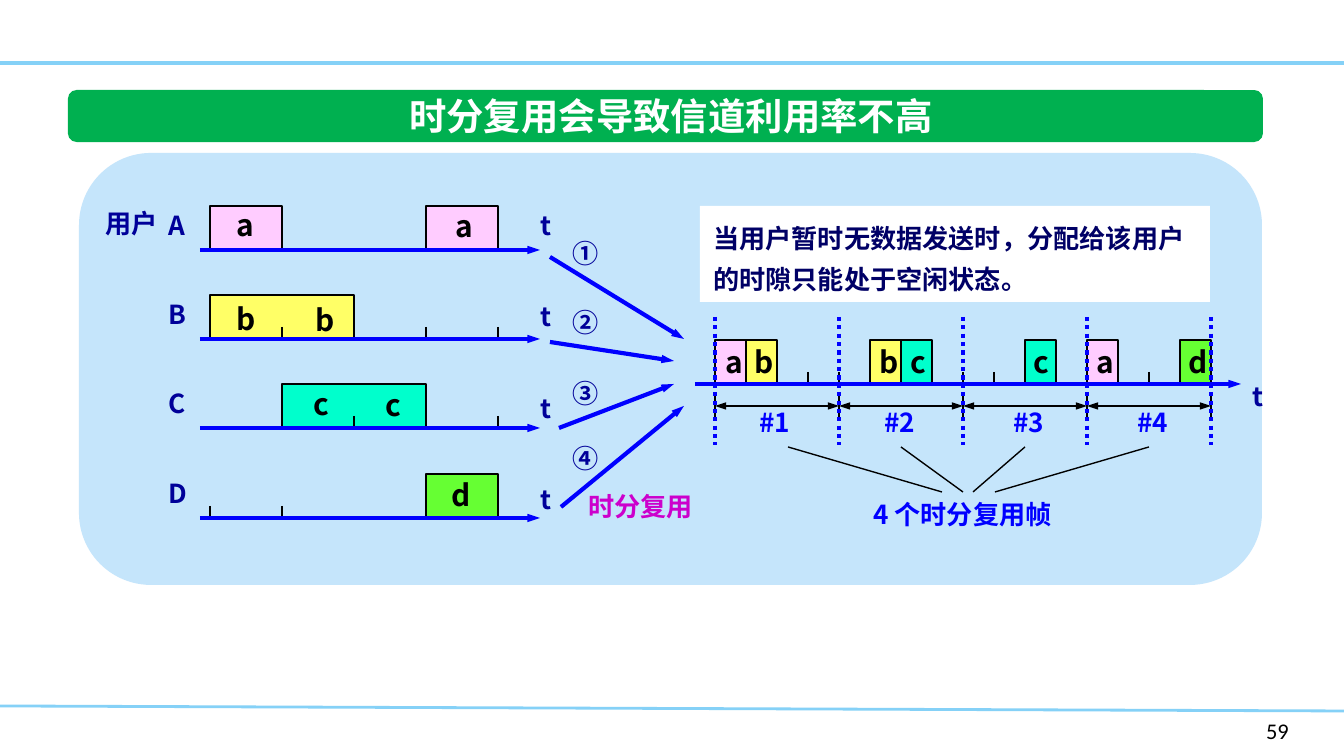
"""Build a slide on how time-division multiplexing leaves channel slots idle."""
from typing import NamedTuple

from lxml.etree import SubElement
from pptx import Presentation
from pptx.dml.color import RGBColor
from pptx.enum.dml import MSO_LINE
from pptx.enum.shapes import MSO_CONNECTOR, MSO_SHAPE
from pptx.enum.text import MSO_ANCHOR, PP_ALIGN
from pptx.oxml.ns import qn
from pptx.util import Pt

PX = 914400 / 134.4
CJK = "Noto Sans CJK SC"
WHITE = RGBColor(0xFF, 0xFF, 0xFF)
BLACK = RGBColor(0, 0, 0)
GREEN = RGBColor(0x00, 0xB0, 0x50)
SKY = RGBColor(0x85, 0xD1, 0xF7)
PANEL = RGBColor(0xC5, 0xE5, 0xFB)
PINK = RGBColor(0xFF, 0xCC, 0xFF)
YELLOW = RGBColor(0xFF, 0xFF, 0x66)
TEAL = RGBColor(0x00, 0xFF, 0xCC)
LIME = RGBColor(0x66, 0xFF, 0x33)
BLUE = RGBColor(0x00, 0x00, 0xFF)
NAVY = RGBColor(0x00, 0x00, 0x99)
DARK = RGBColor(0x00, 0x00, 0x66)
PURPLE = RGBColor(0xCC, 0x00, 0xCC)

USER_X, USER_SLOT = 210, 72
FRAME_X, FRAME_SLOT, FRAME_Y = 715, 31, 384
FRAME = 4 * FRAME_SLOT


class User(NamedTuple):
    name: str
    axis_y: int
    name_y: int
    t_y: int
    ticks: tuple


class Block(NamedTuple):
    slot: int
    slots: int
    base: int
    color: RGBColor


class Label(NamedTuple):
    text: str
    x: int
    y: int
    w: int
    size: int = 14
    color: RGBColor = NAVY


class Line(NamedTuple):
    x1: int
    y1: int
    x2: int
    y2: int
    color: RGBColor = BLACK
    width: float = 0.75
    head: bool = False
    tail: bool = False
    dotted: bool = False


USERS = [
    User("A", 250, 203, 203, ()),
    User("B", 339, 292, 294, (1, 3, 4)),
    User("C", 428, 381, 386, (2, 3, 4)),
    User("D", 518, 471, 477, (0, 1, 3)),
]
USER_BLOCKS = [
    Block(0, 1, 250, PINK), Block(3, 1, 250, PINK), Block(0, 2, 339, YELLOW),
    Block(1, 2, 428, TEAL), Block(3, 1, 518, LIME),
]
FRAME_BLOCKS = [
    Block(slot, 1, FRAME_Y, color) for slot, color in
    [(0, PINK), (1, YELLOW), (5, YELLOW), (6, TEAL), (10, TEAL), (12, PINK), (15, LIME)]
]
FRAME_TICKS = (2, 3, 4, 8, 9, 14)
LETTERS = [
    ("a", 223, 200), ("a", 442, 201), ("b", 223, 294), ("b", 302, 295),
    ("c", 300, 379), ("c", 372, 380), ("d", 438, 470),
    ("a", 712, 337), ("b", 741, 337), ("b", 866, 337), ("c", 897, 337),
    ("c", 1020, 337), ("a", 1083, 337), ("d", 1175, 337),
]
LABELS = [
    Label("用户", 92, 201, 79), Label("t", 1239, 374, 38),
    Label("①", 559, 231, 53), Label("②", 559, 300, 53),
    Label("③", 559, 371, 53), Label("④", 559, 436, 53),
    Label("时分复用", 575, 484, 133, color=PURPLE),
]
MUX_ARROWS = [(550, 257, 684, 339), (550, 342, 674, 361),
              (559, 428, 674, 384), (561, 507, 684, 406)]
CALLOUTS = [(788, 447, 942, 492), (901, 447, 963, 492),
            (1025, 447, 973, 492), (995, 492, 1149, 447)]


def px(n: float) -> int:
    return round(n * PX)


def add_run(p, text: str, size: int, color: RGBColor, font: str = CJK, bold: bool = True) -> None:
    r = p.add_run()
    r.text = text
    r.font.size, r.font.bold = Pt(size), bold
    r.font.color.rgb = color
    r.font.name = font
    SubElement(r.font._element, qn("a:ea"), typeface=font)


def add_text(s, x: int, y: int, w: int, h: int):
    return s.shapes.add_textbox(px(x), px(y), px(w), px(h)).text_frame


def add_label(s, label: Label) -> None:
    tf = add_text(s, label.x, label.y, label.w, 46 if label.size == 14 else 50)
    tf.word_wrap = False
    add_run(tf.paragraphs[0], label.text, label.size, label.color)


def add_box(s, kind: MSO_SHAPE, x: int, y: int, w: int, h: int, color: RGBColor):
    sp = s.shapes.add_shape(kind, px(x), px(y), px(w), px(h))
    sp.shadow.inherit = False
    sp.fill.solid()
    sp.fill.fore_color.rgb = color
    sp.line.fill.background()
    return sp


def add_block(s, block: Block, origin: int, slot_w: int) -> None:
    left = origin + block.slot * slot_w
    right = left + block.slots * slot_w
    top = block.base - 44
    fb = s.shapes.build_freeform(left, block.base, scale=PX)
    fb.add_line_segments([(left, top), (right, top), (right, block.base)], close=False)
    sp = fb.convert_to_shape()
    sp.shadow.inherit = False
    sp.fill.solid()
    sp.fill.fore_color.rgb = block.color
    sp.line.color.rgb = BLACK
    sp.line.width = Pt(1.5)


def add_line(s, line: Line) -> None:
    c = s.shapes.add_connector(MSO_CONNECTOR.STRAIGHT, px(line.x1), px(line.y1),
                               px(line.x2), px(line.y2))
    c.line.color.rgb = line.color
    c.line.width = Pt(line.width)
    if line.dotted:
        c.line.dash_style = MSO_LINE.ROUND_DOT
    ln = c.line._get_or_add_ln()
    for tag, wanted in (("a:headEnd", line.head), ("a:tailEnd", line.tail)):
        if wanted:
            SubElement(ln, qn(tag), type="triangle", w="sm", len="med")
    SubElement(c._element.spPr, qn("a:effectLst"))


def add_header(s) -> None:
    add_line(s, Line(0, 706, 1344, 711, SKY, 1.5))
    add_line(s, Line(0, 63, 1344, 63, SKY, 2))
    add_box(s, MSO_SHAPE.ROUNDED_RECTANGLE, 68, 90, 1195, 52, GREEN)
    add_run(add_text(s, 1253, 711, 82, 40).paragraphs[0], "59", 12, BLACK, "Calibri", False)
    tf = add_text(s, 184, 90, 974, 52)
    tf.word_wrap = True
    tf.vertical_anchor = MSO_ANCHOR.MIDDLE
    tf.paragraphs[0].alignment = PP_ALIGN.CENTER
    add_run(tf.paragraphs[0], "时分复用会导致信道利用率不高", 20, WHITE)


def add_users(s) -> None:
    for block in USER_BLOCKS:
        add_block(s, block, USER_X, USER_SLOT)
    for user in USERS:
        add_label(s, Label(user.name, 155, user.name_y, 47))
        add_label(s, Label("t", 527, user.t_y, 38))
        for tick in user.ticks:
            x = USER_X + tick * USER_SLOT
            add_line(s, Line(x, user.axis_y - 12, x, user.axis_y))
        add_line(s, Line(200, user.axis_y, 540, user.axis_y, BLUE, 2.25, tail=True))


def add_frames(s) -> None:
    for block in FRAME_BLOCKS:
        add_block(s, block, FRAME_X, FRAME_SLOT)
    for tick in FRAME_TICKS:
        x = FRAME_X + tick * FRAME_SLOT
        add_line(s, Line(x, FRAME_Y - 12, x, FRAME_Y))
    add_line(s, Line(695, FRAME_Y, 1241, FRAME_Y, BLUE, 2.25, tail=True))
    for i, x in enumerate((746, 871, 1000, 1124)):
        left = FRAME_X + i * FRAME
        add_line(s, Line(left, 406, left + FRAME, 406, width=1, head=True, tail=True))
        add_label(s, Label(f"#{i + 1}", x, 400, 60, color=BLUE))
    for i in range(5):
        x = FRAME_X + i * FRAME
        add_line(s, Line(x, 395, x, 418))
        add_line(s, Line(x, 317, x, 445, BLUE, 2.25, dotted=True))
    for ends in CALLOUTS:
        add_line(s, Line(*ends))
    tf = add_text(s, 860, 492, 208, 46)
    tf.word_wrap = True
    add_run(tf.paragraphs[0], "4 个时分复用帧", 14, BLUE)


def add_note(s) -> None:
    tf = add_box(s, MSO_SHAPE.RECTANGLE, 700, 206, 510, 96, WHITE).text_frame
    tf.word_wrap = True
    tf.vertical_anchor = MSO_ANCHOR.TOP
    p = tf.paragraphs[0]
    p.alignment, p.line_spacing = PP_ALIGN.LEFT, Pt(22)
    add_run(p, "当用户暂时无数据发送时，分配给该用户的时隙只能处于空闲状态。", 14, DARK)


def main() -> None:
    prs = Presentation()
    prs.slide_width, prs.slide_height = px(1344), px(756)
    s = prs.slides.add_slide(prs.slide_layouts[6])
    add_header(s)
    add_box(s, MSO_SHAPE.ROUNDED_RECTANGLE, 79, 153, 1183, 432, PANEL)
    add_users(s)
    add_frames(s)
    for ends in MUX_ARROWS:
        add_line(s, Line(*ends, BLUE, 2.25, tail=True))
    for label in LABELS:
        add_label(s, label)
    add_note(s)
    for text, x, y in LETTERS:
        add_label(s, Label(text, x, y, 45, 16, BLACK))
    prs.save("out.pptx")


if __name__ == "__main__":
    main()
